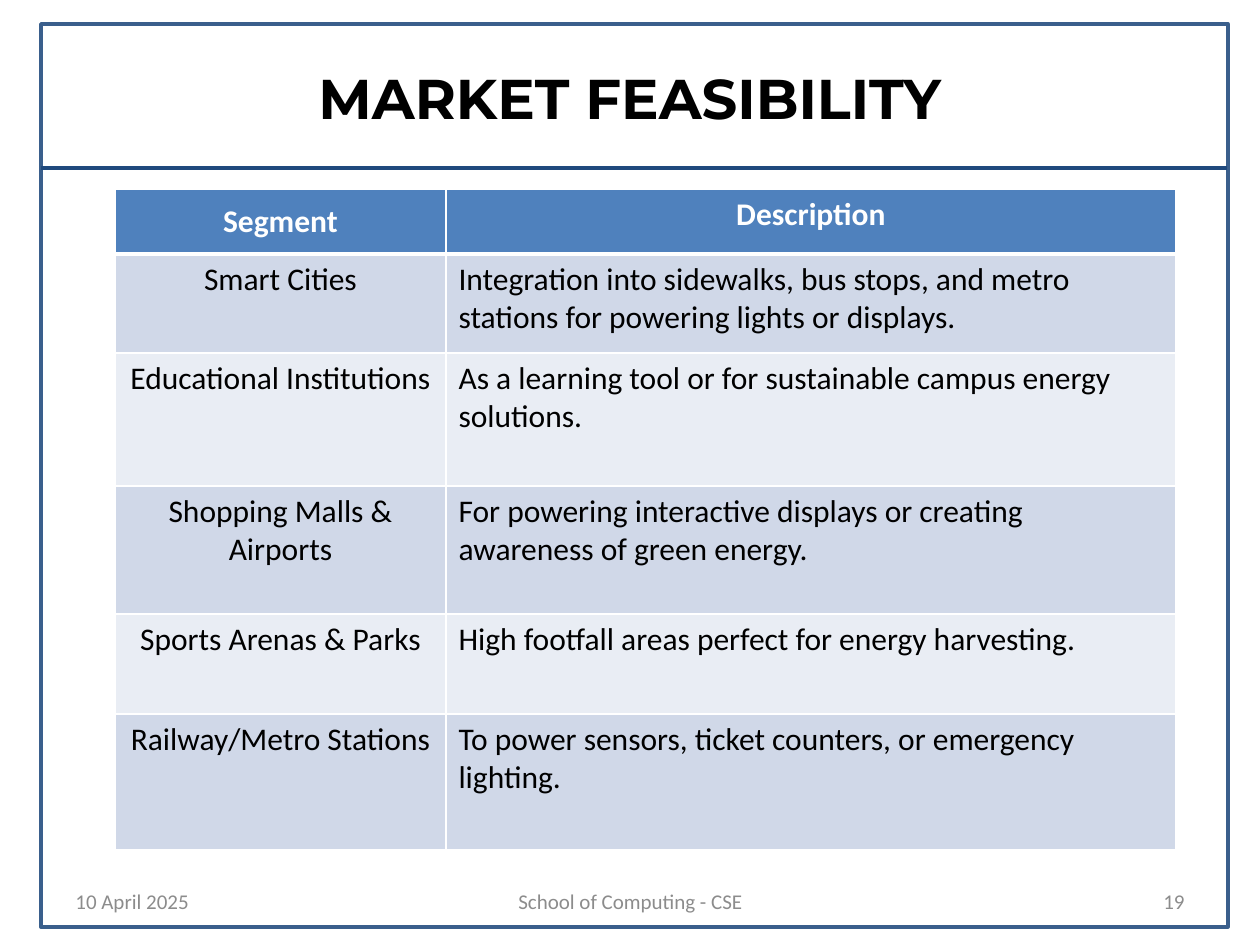
"""Build the market feasibility slide with its segment table."""
from lxml.etree import SubElement
from pptx import Presentation
from pptx.dml.color import RGBColor
from pptx.enum.shapes import MSO_CONNECTOR, MSO_SHAPE
from pptx.enum.text import MSO_ANCHOR, PP_ALIGN
from pptx.oxml.ns import qn
from pptx.util import Pt

TITLE = "MARKET FEASIBILITY"
ROWS = [
    ("Segment", "Description"),
    ("Smart Cities", "Integration into sidewalks, bus stops, and metro "
     "stations for powering lights or displays."),
    ("Educational Institutions",
     "As a learning tool or for sustainable campus energy solutions."),
    ("Shopping Malls & Airports",
     "For powering interactive displays or creating awareness of green energy."),
    ("Sports Arenas & Parks",
     "High footfall areas perfect for energy harvesting."),
    ("Railway/Metro Stations",
     "To power sensors, ticket counters, or emergency lighting."),
]
FOOT = [
    ("10 April 2025", 63, 294, PP_ALIGN.LEFT),
    ("School of Computing - CSE", 431, 399, PP_ALIGN.CENTER),
    ("19", 903, 294, PP_ALIGN.RIGHT),
]
WIDTHS = [331, 730]
HEIGHTS = [65, 99, 133, 128, 100, 136]

THEME = {
    "title": {"name": "Montserrat", "size": 32, "bold": True, "color": "000000"},
    "head": {"name": "Calibri", "size": 18, "bold": True, "color": "FFFFFF"},
    "body": {"name": "Calibri", "size": 18, "bold": False, "color": "000000"},
    "foot": {"name": "Calibri", "size": 12, "bold": False, "color": "8C8C8C"},
    "fills": {"head": "4F81BD", "bands": ["E9EDF4", "D0D8E8"]},
    "frame": "3A5F8C",
    "rule": "1F497D",
    "grid": "FFFFFF",
}


def px(*vals):
    return [round(val * 914400 / 126) for val in vals]


def write(frame, text, style, align, anchor):
    frame.word_wrap = True
    frame.vertical_anchor = anchor
    para = frame.paragraphs[0]
    para.alignment = align
    run = para.add_run()
    run.text = text
    for key, val in THEME[style].items():
        if key == "color":
            run.font.color.rgb = RGBColor.from_string(val)
        else:
            setattr(run.font, key, Pt(val) if key == "size" else val)


def stroke(line, color):
    line.color.rgb = RGBColor.from_string(color)
    line.width = Pt(2)


def border(cell, row):
    props = cell._tc.get_or_add_tcPr()
    wide = {"lnB": row == 0, "lnT": row == 1}
    for side in ("lnL", "lnR", "lnT", "lnB"):
        width = Pt(3 if wide.get(side) else 1)
        edge = SubElement(props, qn(f"a:{side}"), w=str(width))
        fill = SubElement(edge, qn("a:solidFill"))
        SubElement(fill, qn("a:srgbClr"), val=THEME["grid"])


def add_frame(slide):
    box = slide.shapes.add_shape(MSO_SHAPE.RECTANGLE, *px(41, 24, 1187, 903))
    box.shadow.inherit = False
    box.fill.background()
    stroke(box.line, THEME["frame"])
    rule = slide.shapes.add_connector(MSO_CONNECTOR.STRAIGHT, *px(41, 168, 1227, 168))
    SubElement(rule._element.spPr, qn("a:effectLst"))
    stroke(rule.line, THEME["rule"])


def add_title(slide):
    title = slide.shapes.title
    title.left, title.top, title.width, title.height = px(63, 19, 1134, 157)
    write(title.text_frame, TITLE, "title", PP_ALIGN.CENTER, MSO_ANCHOR.MIDDLE)


def add_foot(slide):
    for text, left, width, align in FOOT:
        box = slide.shapes.add_textbox(*px(left, 876, width, 50))
        write(box.text_frame, text, "foot", align, MSO_ANCHOR.MIDDLE)


def add_grid(slide):
    place = px(115, 189, sum(WIDTHS), sum(HEIGHTS))
    table = slide.shapes.add_table(len(ROWS), len(WIDTHS), *place).table
    for col, width in zip(table.columns, px(*WIDTHS)):
        col.width = width
    for row, height in zip(table.rows, px(*HEIGHTS)):
        row.height = height
    fills = THEME["fills"]
    for i, texts in enumerate(ROWS):
        style = "body" if i else "head"
        color = fills["bands"][i % 2] if i else fills["head"]
        for j, text in enumerate(texts):
            cell = table.cell(i, j)
            border(cell, i)
            cell.fill.solid()
            cell.fill.fore_color.rgb = RGBColor.from_string(color)
            align = PP_ALIGN.LEFT if i and j else PP_ALIGN.CENTER
            anchor = MSO_ANCHOR.TOP if i or j else MSO_ANCHOR.MIDDLE
            write(cell.text_frame, text, style, align, anchor)
            cell.vertical_anchor = anchor


def main():
    deck = Presentation()
    deck.slide_width, deck.slide_height = px(1260, 945)
    slide = deck.slides.add_slide(deck.slide_layouts[5])
    for add in (add_frame, add_title, add_foot, add_grid):
        add(slide)
    deck.save("out.pptx")


if __name__ == "__main__":
    main()
